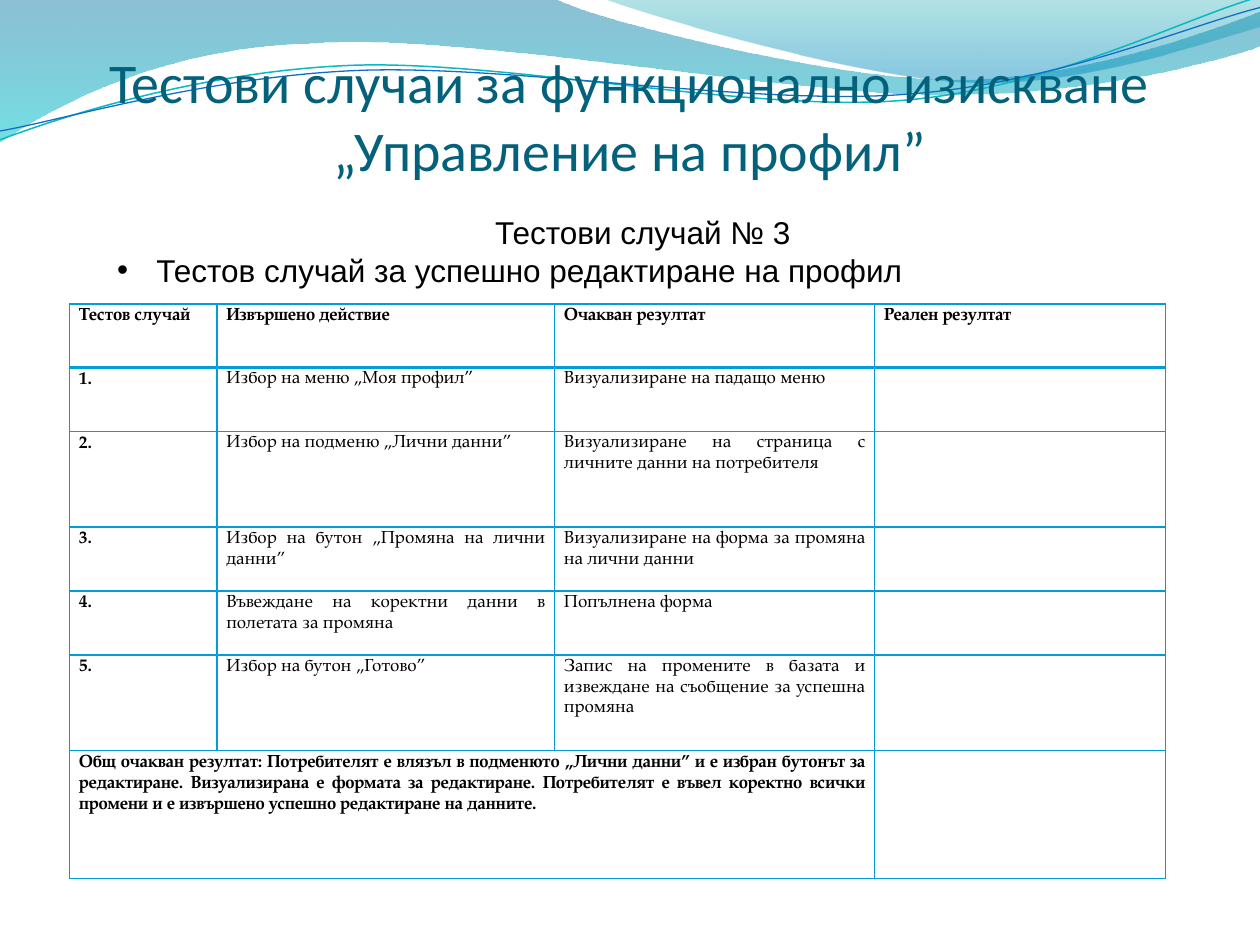
from lxml import etree
from pptx import Presentation
from pptx.dml.color import RGBColor
from pptx.enum.text import MSO_ANCHOR as Anchor, MSO_AUTO_SIZE as Fit, PP_ALIGN as Align
from pptx.oxml.ns import qn
from pptx.util import Pt

BLUE = "009DD9"
SERIF = "TeX Gyre Pagella"
COLS = [84.2, 193, 182.9, 166.3]
ROWS = [36.5, 36.5, 54.7, 36.5, 36.5, 54.7, 73]
HEAD = ["Тестов случай", "Извършено действие", "Очакван резултат", "Реален резултат"]
STEPS = [
    ("Избор на меню „Моя профил”", "Визуализиране на падащо меню"),
    ("Избор на подменю „Лични данни”",
     "Визуализиране на страница с личните данни на потребителя"),
    ("Избор на бутон „Промяна на лични данни”",
     "Визуализиране на форма за промяна на лични данни"),
    ("Въвеждане на коректни данни в полетата за промяна", "Попълнена форма"),
    ("Избор на бутон „Готово”",
     "Запис на промените в базата и извеждане на съобщение за успешна промяна"),
]
TOTAL = ("Общ очакван резултат: Потребителят е влязъл в подменюто „Лични данни” "
         "и е избран бутонът за редактиране. Визуализирана е формата за редактиране. "
         "Потребителят е въвел коректно всички промени и е извършено успешно "
         "редактиране на данните.")

# Each wave is a start point, then straight (2 numbers) or cubic (6 numbers) steps,
# as shares of the slide width in percent.
BANDS = [
    ([(0, 0), (44, -0.1), (47.6, 1.7, 66.4, 6.3, 75.8, 6.3),
      (85.3, 6.3, 95.8, 2.6, 100, 0.9), (100.1, 3.6),
      (98.3, 4.4, 87, 7.6, 74.6, 7.5), (62.2, 7.5, 38.2, 2.8, 25.7, 3.4),
      (12.9, 3.6, 4.6, 8.3, -0.1, 11.3)],
     [(0, "0074A1", 45), (100, "00C6CF", 55)]),
    ([(47.9, -0.1), (50.9, 1.1, 68.2, 6.2, 76.9, 6.5),
      (85.6, 6.9, 96.1, 3.2, 100, 2.1), (100, 0)],
     [(0, "00A1A9", 30), (80, "008BBF", 45)]),
]
LINES = [
    ([(0, 11.1), (4.8, 9.3, 15.8, 5.7, 27.7, 5.2), (39.5, 4.7, 59.3, 8.9, 71.3, 8),
      (83.3, 7.1, 93.8, 1.5, 99.8, -0.2)], "0AB8BF", 0.85),
    ([(0, 10.4), (4.7, 9.6, 16.4, 6.1, 28.3, 5.6), (40.3, 5.1, 59.7, 8.4, 71.7, 7.5),
      (83.6, 6.7, 94.1, 2.1, 100, 0.6)], "0F6FC6", 0.75),
]


def rgb(code):
    return RGBColor.from_string(code)


def sub(node, tag, **attrs):
    return etree.SubElement(node, qn(tag), {k: str(v) for k, v in attrs.items()})


def add_run(para, text, font, size, color, bold=False):
    run = para.add_run()
    run.text = text
    run.font.name, run.font.size, run.font.bold = font, Pt(size), bold
    run.font.color.rgb = rgb(color)


def bend(shape, steps):
    """Join the three straight parts of each cubic step into one curve."""
    parts = iter(list(shape._element.iter(qn("a:lnTo"))))
    for step in steps[1:]:
        group = [next(parts) for _ in range(len(step) // 2)]
        if len(group) == 3:
            curve = etree.Element(qn("a:cubicBezTo"))
            group[0].addprevious(curve)
            for part in group:
                curve.append(part[0])
                part.getparent().remove(part)


def add_path(slide, steps, width, closed):
    pts = [(Pt(s[i] * width / 100), Pt(s[i + 1] * width / 100))
           for s in steps for i in range(0, len(s), 2)]
    pen = slide.shapes.build_freeform(*pts[0])
    pen.add_line_segments(pts[1:], close=closed)
    shape = pen.convert_to_shape()
    bend(shape, steps)
    shape.shadow.inherit = False
    shape.fill.background()
    return shape


def shade(shape, stops):
    """Fill from top to bottom with see-through colours."""
    grad = etree.Element(qn("a:gradFill"), {"rotWithShape": "1"})
    items = sub(grad, "a:gsLst")
    for pos, color, alpha in stops:
        tint = sub(sub(items, "a:gs", pos=pos * 1000), "a:srgbClr", val=color)
        sub(tint, "a:alpha", val=alpha * 1000)
    sub(grad, "a:lin", ang=5400000, scaled=1)
    props = shape._element.spPr
    props.replace(props.find(qn("a:noFill")), grad)


def add_waves(slide, width):
    for steps, stops in BANDS:
        band = add_path(slide, steps, width, True)
        shade(band, stops)
        band.line.fill.background()
    for steps, color, weight in LINES:
        wave = add_path(slide, steps, width, False)
        wave.line.color.rgb = rgb(color)
        wave.line.width = Pt(weight)


def set_title(slide, x, y, w, h):
    title = slide.shapes.title
    title.left, title.top, title.width, title.height = Pt(x), Pt(y), Pt(w), Pt(h)
    frame = title.text_frame
    frame.auto_size, frame.word_wrap = Fit.NONE, True
    frame.vertical_anchor = Anchor.BOTTOM
    frame.margin_left = frame.margin_right = 0
    frame.margin_top, frame.margin_bottom = Pt(3.6), Pt(29)
    para = frame.paragraphs[0]
    para.alignment = Align.CENTER
    add_run(para, "Тестови случаи за функционално изискване „Управление на профил”",
            "Calibri", 32, "04617B")
    slide.shapes._spTree.append(title._element)


def add_intro(slide, x, y, w, h):
    frame = slide.shapes.add_textbox(Pt(x), Pt(y), Pt(w), Pt(h)).text_frame
    frame.word_wrap = True
    frame.margin_top = Pt(25.2)
    case, goal = frame.paragraphs[0], frame.add_paragraph()
    add_run(case, "Тестови случай № 3", "Arial", 18, "000000")
    add_run(goal, "Тестов случай за успешно редактиране на профил", "Arial", 18, "000000")
    for para, left, hang in ((case, 252, 0), (goal, 58.5, -22.5)):
        props = para._p.get_or_add_pPr()
        props.set("marL", str(Pt(left)))
        props.set("indent", str(Pt(hang)))
    sub(props, "a:buFont", typeface="Arial")
    sub(props, "a:buChar", char="•")


def frame_cell(cell, base):
    """Draw the cell's borders, the lower one of the given weight, with no fill."""
    props = cell._tc.get_or_add_tcPr()
    for side, weight in (("L", 1), ("R", 1), ("T", 1), ("B", base)):
        line = sub(props, "a:ln" + side, w=Pt(weight))
        sub(sub(line, "a:solidFill"), "a:srgbClr", val=BLUE)
    cell.fill.background()
    cell.margin_left = cell.margin_right = Pt(5.4)
    cell.margin_top = cell.margin_bottom = 0


def add_cases(slide, x, y):
    grid = slide.shapes.add_table(len(ROWS), len(COLS), Pt(x), Pt(y),
                                  Pt(sum(COLS)), Pt(sum(ROWS))).table
    grid.first_row = grid.horz_banding = False
    for col, width in zip(grid.columns, COLS):
        col.width = Pt(width)
    for row, height in zip(grid.rows, ROWS):
        row.height = Pt(height)
    last = len(ROWS) - 1
    grid.cell(last, 0).merge(grid.cell(last, 2))
    texts = [HEAD, *([f"{i}.", *step, ""] for i, step in enumerate(STEPS, 1)),
             [TOTAL, "", "", ""]]
    for r, line in enumerate(texts):
        for c, text in enumerate(line):
            cell = grid.cell(r, c)
            frame_cell(cell, 1 if r else 2)
            if text:
                para = cell.text_frame.paragraphs[0]
                para.alignment, para.line_spacing = Align.JUSTIFY, Pt(12)
                add_run(para, text, SERIF, 10, "000000", r == 0 or c == 0)


def main():
    deck = Presentation()
    deck.slide_width, deck.slide_height = Pt(720), Pt(540)
    slide = deck.slides.add_slide(deck.slide_layouts[5])
    add_waves(slide, 720)
    add_intro(slide, 23.8, 96.5, 672, 72.7)
    add_cases(slide, 39.7, 173.6)
    set_title(slide, 36, 43.2, 648, 90)
    deck.save("out.pptx")


if __name__ == "__main__":
    main()
